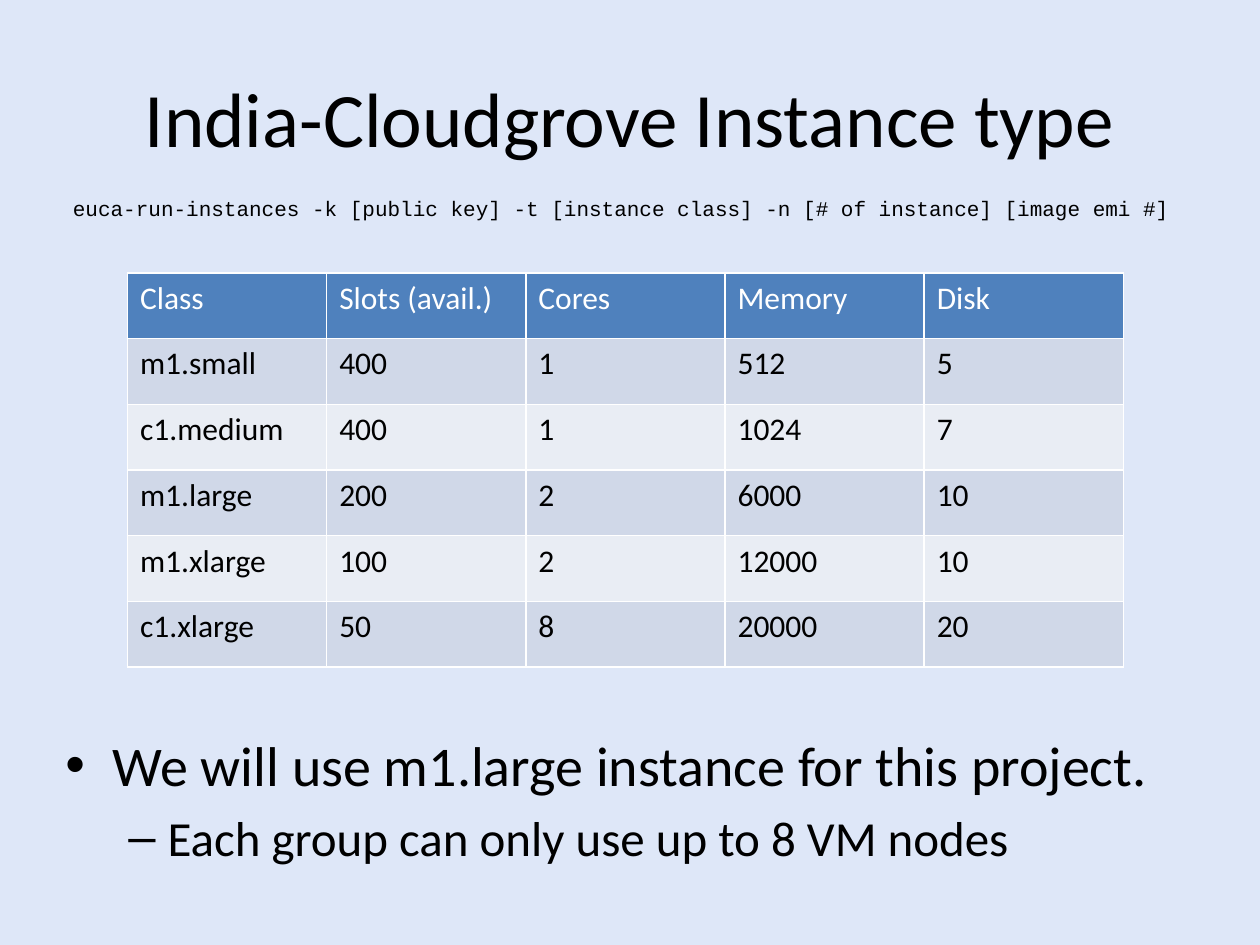
import lxml.etree
import pptx
import pptx.dml.color
import pptx.enum.text
import pptx.oxml.ns
import pptx.util

Cm = pptx.util.Cm
Pt = pptx.util.Pt
qn = pptx.oxml.ns.qn

ROWS = [
    ("Class", "Slots (avail.)", "Cores", "Memory", "Disk"),
    ("m1.small", "400", "1", "512", "5"),
    ("c1.medium", "400", "1", "1024", "7"),
    ("m1.large", "200", "2", "6000", "10"),
    ("m1.xlarge", "100", "2", "12000", "10"),
    ("c1.xlarge", "50", "8", "20000", "20"),
]
POINTS = [
    ("We will use m1.large instance for this project.", 32, "•", 0.95, 0.95),
    ("Each group can only use up to 8 VM nodes", 28, "–", 2.06, 0.79),
]


def paint(text):
    """Turn a hex string into a colour."""
    return pptx.dml.color.RGBColor.from_string(text)


def style(run, size, color="000000", face="Calibri"):
    """Set the font of a run."""
    font = run.font
    font.name, font.size, font.bold = face, Pt(size), False
    font.color.rgb = paint(color)


def add_box(slide, left, top, width, height):
    """Add a wrapping text box and return its frame."""
    frame = slide.shapes.add_textbox(Cm(left), Cm(top), Cm(width), Cm(height)).text_frame
    frame.word_wrap = True
    return frame


def add_title(slide, text):
    """Place and format the title."""
    title = slide.shapes.title
    title.left, title.top, title.width, title.height = Cm(1.27), Cm(0.76), Cm(22.86), Cm(3.18)
    frame = title.text_frame
    frame.text = text
    frame.vertical_anchor = pptx.enum.text.MSO_ANCHOR.MIDDLE
    frame.paragraphs[0].alignment = pptx.enum.text.PP_ALIGN.CENTER
    style(frame.paragraphs[0].runs[0], 44)


def add_command(slide, text):
    """Add the command line."""
    frame = add_box(slide, 1.22, 3.81, 22.86, 1.27)
    frame.text = text
    style(frame.paragraphs[0].runs[0], 12, face="Courier New")


def edge(cell, side):
    """Draw one white border of a cell."""
    line = lxml.etree.SubElement(cell._tc.get_or_add_tcPr(), qn(f"a:ln{side}"), w=str(Pt(1)))
    fill = lxml.etree.SubElement(line, qn("a:solidFill"))
    lxml.etree.SubElement(fill, qn("a:srgbClr"), val="FFFFFF")


def add_grid(slide):
    """Add the table of instance classes."""
    frame = slide.shapes.add_table(len(ROWS), len(ROWS[0]), Cm(2.57), Cm(5.5), Cm(20.08), Cm(7.95))
    for r, row in enumerate(ROWS):
        head = r == 0
        for c, text in enumerate(row):
            cell = frame.table.cell(r, c)
            cell.text = text
            style(cell.text_frame.paragraphs[0].runs[0], 18, "FFFFFF" if head else "000000")
            for side in "LRTB":
                edge(cell, side)
            cell.fill.solid()
            cell.fill.fore_color.rgb = paint("4F81BD" if head else ("E9EDF4", "D0D8E8")[r % 2])


def add_points(slide):
    """Add the bulleted notes."""
    frame = add_box(slide, 1.07, 14.6, 22.86, 4.9)
    frame.text = "\n".join(point[0] for point in POINTS)
    for level, (para, point) in enumerate(zip(frame.paragraphs, POINTS)):
        size, sign, margin, hang = point[1:]
        para.level = level
        para.space_before = Pt(size * 0.2)
        style(para.runs[0], size)
        props = para._p.get_or_add_pPr()
        props.set("marL", str(Cm(margin)))
        props.set("indent", str(-Cm(hang)))
        lxml.etree.SubElement(props, qn("a:buFont"), typeface="Arial")
        lxml.etree.SubElement(props, qn("a:buChar"), char=sign)


def main():
    """Build the slide."""
    deck = pptx.Presentation()
    deck.slide_width, deck.slide_height = Cm(25.4), Cm(19.05)
    slide = deck.slides.add_slide(deck.slide_layouts[5])
    slide.background.fill.solid()
    slide.background.fill.fore_color.rgb = paint("DEE7F8")
    add_title(slide, "India-Cloudgrove Instance type")
    add_grid(slide)
    add_command(
        slide,
        "euca-run-instances -k [public key] -t [instance class] -n [# of instance] [image emi #]",
    )
    add_points(slide)
    deck.save("out.pptx")


if __name__ == "__main__":
    main()
